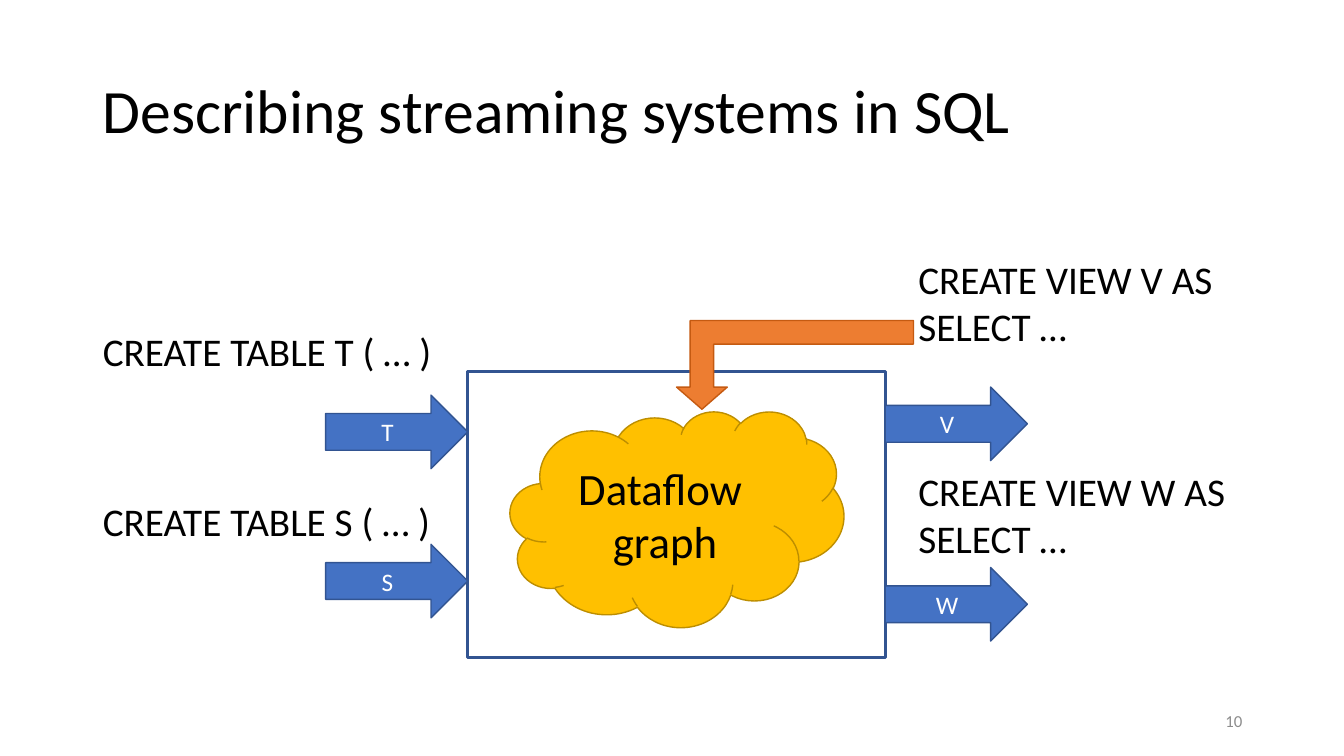
from pptx import Presentation
from pptx.dml.color import RGBColor
from pptx.enum.shapes import MSO_SHAPE
from pptx.enum.text import MSO_ANCHOR, MSO_AUTO_SIZE, PP_ALIGN
from pptx.oxml.xmlchemy import OxmlElement
from pptx.util import Inches, Pt


def write(shape, lines, size, color="000000", align=PP_ALIGN.LEFT, anchor=MSO_ANCHOR.MIDDLE):
    frame = shape.text_frame
    frame.text = "\n".join(lines)
    frame.word_wrap = True
    frame.auto_size = MSO_AUTO_SIZE.NONE
    frame.vertical_anchor = anchor
    for paragraph in frame.paragraphs:
        paragraph.alignment = align
        paragraph.font.size = Pt(size)
        paragraph.font.name = "Calibri"
        paragraph.font.color.rgb = RGBColor.from_string(color)


def add_block(kind, box, fill, line, width=1):
    shape = slide.shapes.add_shape(kind, *map(Inches, box))
    shape.shadow.inherit = False
    if fill:
        shape.fill.solid()
        shape.fill.fore_color.rgb = RGBColor.from_string(fill)
    else:
        shape.fill.background()
    shape.line.color.rgb = RGBColor.from_string(line)
    shape.line.width = Pt(width)
    return shape


presentation = Presentation()
presentation.slide_width = Inches(13.33)
presentation.slide_height = Inches(7.5)
slide = presentation.slides.add_slide(presentation.slide_layouts[1])

title = slide.shapes.title
title.left, title.top, title.width, title.height = map(Inches, (0.92, 0.4, 11.5, 1.45))
write(title, ["Describing streaming systems in SQL"], 44)
title.text_frame.paragraphs[0].line_spacing = 0.9

tables = slide.placeholders[1]
tables.left, tables.top, tables.width, tables.height = map(Inches, (0.92, 3.25, 4.14, 3.85))
tables.text_frame.text = "CREATE TABLE T ( … )\nCREATE TABLE S ( … )"
for paragraph, space in zip(tables.text_frame.paragraphs, (0, 91)):
    properties = paragraph._p.get_or_add_pPr()
    properties.set("marL", "0")
    properties.set("indent", "0")
    properties.append(OxmlElement("a:buNone"))
    paragraph.line_spacing = 0.9
    paragraph.space_before = Pt(space)
    paragraph.font.size = Pt(28)
    paragraph.font.name = "Calibri"
    paragraph.font.color.rgb = RGBColor.from_string("000000")
tables.text_frame.auto_size = MSO_AUTO_SIZE.NONE
tables.text_frame.vertical_anchor = MSO_ANCHOR.TOP

number = slide.shapes.add_textbox(*map(Inches, (9.42, 6.95, 3, 0.4)))
write(number, ["10"], 12, "8C8C8C", PP_ALIGN.RIGHT)

for view, top in (("V", 2.48), ("W", 4.59)):
    query = slide.shapes.add_textbox(*map(Inches, (9.01, top, 4.04, 1.04)))
    write(query, [f"CREATE VIEW {view} AS", "SELECT …"], 28, anchor=MSO_ANCHOR.TOP)

add_block(MSO_SHAPE.RECTANGLE, (4.64, 3.69, 4.14, 2.83), None, "325491", 2.25)

for name, left, top in (("T", 3.23, 3.92), ("S", 3.23, 5.4), ("V", 8.78, 3.84), ("W", 8.78, 5.63)):
    arrow = add_block(MSO_SHAPE.RIGHT_ARROW, (left, top, 1.41, 0.73), "4472C4", "325491")
    write(arrow, [name], 18, "FFFFFF", PP_ALIGN.CENTER)

query_arrow = add_block(MSO_SHAPE.BENT_UP_ARROW, (6.71, 3.18, 2.35, 0.88), "ED7D31", "C55A11")
query_arrow.rotation = 180
for index, value in enumerate((0.265, 0.286, 0.25)):
    query_arrow.adjustments[index] = value

cloud = add_block(MSO_SHAPE.CLOUD, (5.06, 4.08, 3.31, 2.14), "FFC000", "BD8E00")
write(cloud, ["Dataflow \vgraph"], 32, align=PP_ALIGN.CENTER)

presentation.save("out.pptx")
